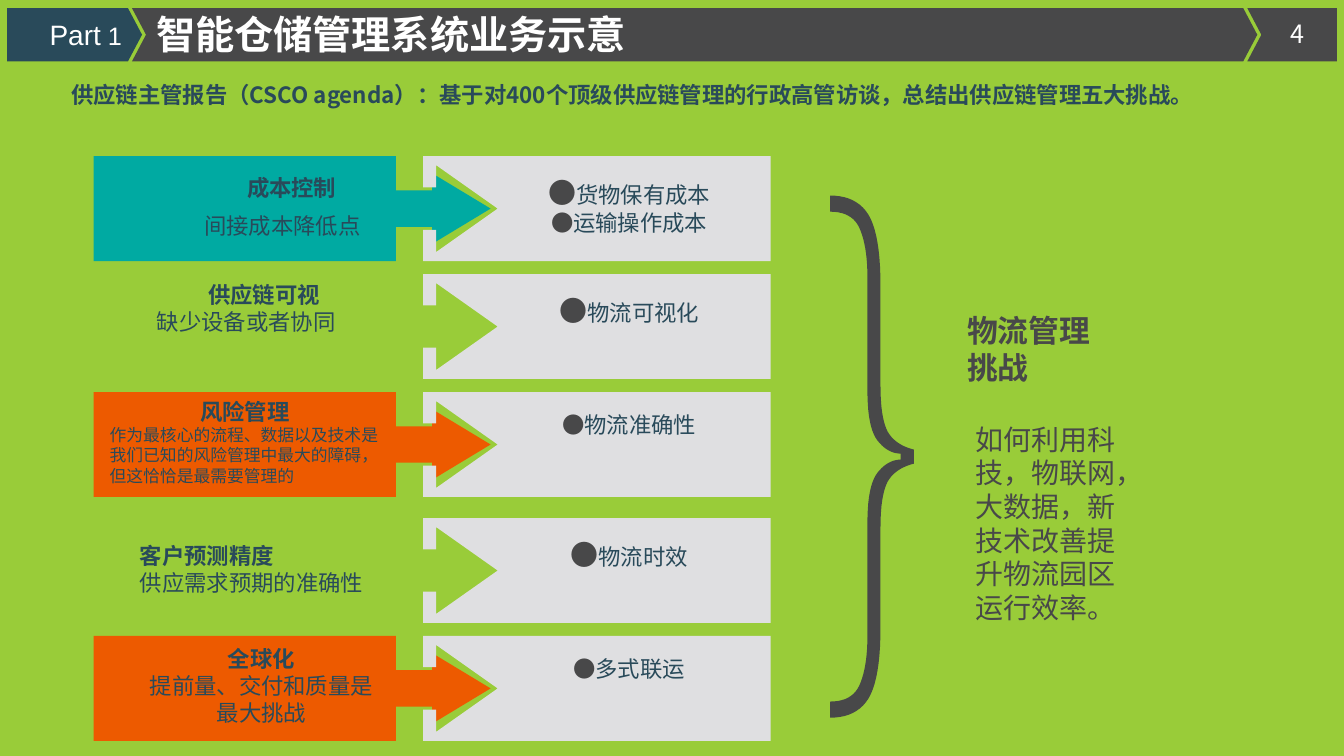
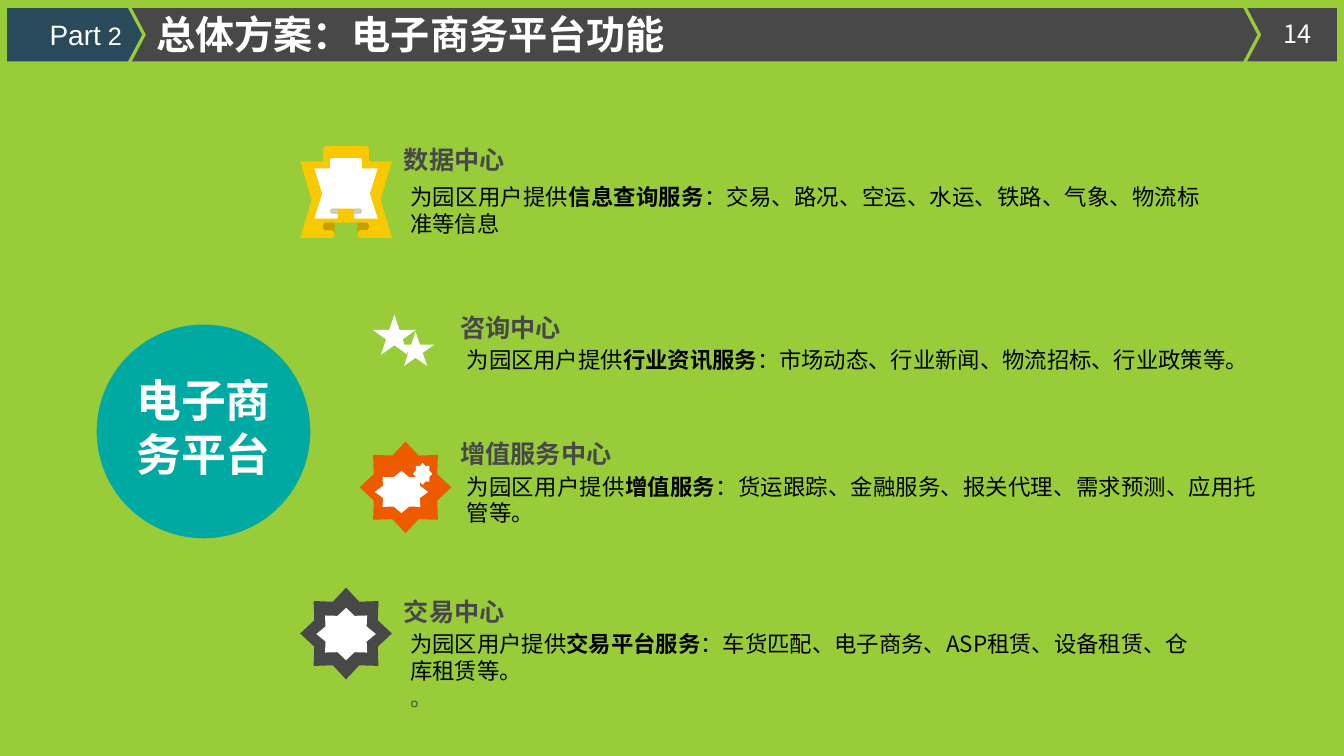
import dataclasses

import lxml.etree
import pptx
import pptx.dml.color
import pptx.enum.shapes
import pptx.enum.text
import pptx.oxml.ns
import pptx.util

RGB = pptx.dml.color.RGBColor
LIME = RGB(0x99, 0xCC, 0x39)
NAVY = RGB(0x29, 0x4A, 0x5A)
CHARCOAL = RGB(0x48, 0x48, 0x49)
TEAL = RGB(0x00, 0xAA, 0xA2)
ORANGE = RGB(0xED, 0x5A, 0x00)
YELLOW = RGB(0xF9, 0xC9, 0x00)
SILVER = RGB(0xDF, 0xDF, 0xE1)
WHITE = RGB(0xFF, 0xFF, 0xFF)
BLACK = RGB(0x00, 0x00, 0x00)

CJK = "Noto Sans CJK SC"
PRESET = pptx.enum.shapes.MSO_SHAPE
LEFT = pptx.enum.text.PP_ALIGN.LEFT
CENTER = pptx.enum.text.PP_ALIGN.CENTER
RIGHT = pptx.enum.text.PP_ALIGN.RIGHT
JUSTIFY = pptx.enum.text.PP_ALIGN.JUSTIFY

# All lengths are counted in square grid cells, ten to the inch.
COLUMNS, ROWS = 133.4, 75


def cells(count):
    return pptx.util.Inches(count / 10)


@dataclasses.dataclass
class Box:
    left: float
    top: float
    width: float
    height: float

    def area(self, dx, dy, width, height):
        return Box(self.left + dx, self.top + dy, width, height)

    def lengths(self):
        return [cells(n) for n in (self.left, self.top, self.width, self.height)]


@dataclasses.dataclass
class Run:
    text: str
    size: float = 16
    color: RGB = NAVY
    bold: bool = False
    font: str = CJK


SLIDE = Box(0, 0, COLUMNS, ROWS)


def write(frame, *paragraphs):
    """Fill a text frame with (alignment, run, run, ...) paragraphs."""
    frame.word_wrap = True
    frame.auto_size = pptx.enum.text.MSO_AUTO_SIZE.NONE
    frame.vertical_anchor = pptx.enum.text.MSO_ANCHOR.TOP
    for index, (alignment, *runs) in enumerate(paragraphs):
        paragraph = frame.add_paragraph() if index else frame.paragraphs[0]
        paragraph.alignment = alignment
        for item in runs:
            run = paragraph.add_run()
            run.text = item.text
            run.font.size = pptx.util.Pt(item.size)
            run.font.bold = item.bold
            run.font.color.rgb = item.color
            run.font.name = item.font
            east_asian = lxml.etree.SubElement(
                run.font._element, pptx.oxml.ns.qn("a:ea"))
            east_asian.set("typeface", item.font)


def add_text(slide, box, *paragraphs):
    write(slide.shapes.add_textbox(*box.lengths()).text_frame, *paragraphs)


def paint(shape, color):
    shape.shadow.inherit = False
    shape.fill.solid()
    shape.fill.fore_color.rgb = color
    shape.line.fill.background()
    return shape


def add_preset(slide, preset, box, color):
    return paint(slide.shapes.add_shape(preset, *box.lengths()), color)


def add_outline(slide, box, points, color):
    corners = [(cells(box.left + x), cells(box.top + y)) for x, y in points]
    builder = slide.shapes.build_freeform(*corners[0], scale=1.0)
    builder.add_line_segments(corners[1:], close=True)
    return paint(builder.convert_to_shape(), color)


def mirrored(upper, height):
    """Complete an upper half with its reflection in the middle line."""
    return upper + [(x, height - y) for x, y in reversed(upper) if y != height / 2]


def curve(start, *segments, steps=10):
    """Points along cubic segments (three points) and straight ones (one point)."""
    points = [start]
    for segment in segments:
        if len(segment) == 1:
            points.append(segment[0])
            continue
        knots = (points[-1], *segment)
        for step in range(1, steps + 1):
            t = step / steps
            weights = ((1 - t) ** 3, 3 * t * (1 - t) ** 2, 3 * t * t * (1 - t), t ** 3)
            points.append(tuple(sum(w * k[axis] for w, k in zip(weights, knots))
                                for axis in (0, 1)))
    return points


def add_header_bands(slide, layout, box):
    """Draw the three header bands and hand them to the layout."""
    h, tip = box.height, 1.4
    mid = h / 2
    section = [(0, 0), (12, 0), (12 + tip, mid), (12, h), (0, h)]
    heading = [(12.4, 0), (122.7, 0), (122.7 + tip, mid), (122.7, h),
               (12.4, h), (12.4 + tip, mid)]
    number = [(123.1, 0), (132, 0), (132, h), (123.1, h), (123.1 + tip, mid)]
    bands = ((section, NAVY), (heading, CHARCOAL), (number, CHARCOAL))
    for index, (points, color) in enumerate(bands):
        band = add_outline(slide, box, points, color)
        band.element.nvSpPr.cNvPr.set("id", str(20 + index))
        layout.shapes.element.append(band.element)


def fill_header(slide, title, chapter, page):
    write(slide.shapes.title.text_frame, (LEFT, Run(title, 28, WHITE, True)))
    add_text(slide, SLIDE.area(1.5, 1.2, 11.6, 4.4),
             (RIGHT, Run("Part", 20, WHITE, font="Arial"),
              Run(f" {chapter}", 18, WHITE, font="Arial")))
    add_text(slide, SLIDE.area(126.1, 1.3, 5.4, 4), (CENTER, Run(page, 18, WHITE)))


def bold(text):
    return Run(text, bold=True)


def bullet(text, size):
    return CENTER, Run("●", size, CHARCOAL), Run(text)


# Each challenge: arrow colour, labels (place in the row, paragraphs), bullets.
CHALLENGES = [
    (TEAL,
     [((10.1, 1.3, 19.1, 3.7), [(CENTER, bold("成本控制"))]),
      ((10, 5.1, 19.1, 3.7), [(LEFT, Run("间接成本降低点"))])],
     [bullet("货物保有成本", 20), bullet("运输操作成本", 16)]),
    (LIME,
     [((5.3, 0.2, 23.2, 6.4), [(CENTER, bold("供应链可视")),
                               (LEFT, Run("缺少设备或者协同"))])],
     [bullet("物流可视化", 20)]),
    (ORANGE,
     [((0.6, 0.1, 28.8, 9.7),
       [(CENTER, bold("风险管理")),
        (LEFT, Run("作为最核心的流程、数据以及技术是我们已知的风险管理中最大的障碍，"
                   "但这恰恰是最需要管理的", 12))])],
     [bullet("物流准确性", 16)]),
    (LIME,
     [((3.6, 1.9, 24.9, 6.4), [(LEFT, bold("客户预测精度")),
                               (LEFT, Run("供应需求预期的准确性"))])],
     [bullet("物流时效", 20)]),
    (ORANGE,
     [((3.9, 0.4, 25.5, 9.9), [(CENTER, bold("全球化")),
                               (CENTER, Run("提前量、交付和质量是最大挑战"))])],
     [bullet("多式联运", 16)]),
]
ROW_PITCH = 11.7
ROW_TOPS = [first + i * ROW_PITCH for first, count in ((15.5, 3), (51.4, 2))
            for i in range(count)]


def add_challenge(slide, box, color, labels, bullets):
    h = box.height
    arrow = [(0, 0), (30, 0), (30, 3.4), (33.6, 3.4), (33.6, 1.7), (39.4, h / 2)]
    panel = [(40.1, h / 2), (34, 0.9), (34, 3.1), (32.7, 3.1), (32.7, 0),
             (box.width, 0)]
    add_outline(slide, box, mirrored(arrow, h), color)
    add_outline(slide, box, mirrored(panel, h), SILVER)
    for place, paragraphs in labels:
        add_text(slide, box.area(*place), *paragraphs)
    add_text(slide, box.area(39.9, 1.4, 26.5, 7.5), *bullets)


def add_brace(slide, box):
    inner = curve((7, 25.6),
                  ((6.2, 25.6), (5.4, 25.2), (4.7, 24.3)),
                  ((4, 23.4), (3.7, 21.7), (3.7, 19.2)),
                  ((3.7, 8),),
                  ((3.7, 5.9), (3.4, 4.3), (2.9, 3.2)),
                  ((2.4, 2.1), (1.4, 1.6), (0, 1.6)))
    outer = curve((0, 0),
                  ((1.7, 0), (3, 0.6), (3.8, 1.9)),
                  ((4.6, 3.2), (5, 5.6), (5, 8.9)),
                  ((5, 18.8),),
                  ((5, 20.9), (5.2, 22.4), (5.7, 23.4)),
                  ((6.2, 24.3), (7.1, 24.9), (8.3, 25.2)))
    add_outline(slide, box, mirrored(inner + outer, box.height), CHARCOAL)


def build_challenges(slide):
    fill_header(slide, "智能仓储管理系统业务示意", 1, "4")
    add_text(slide, SLIDE.area(6.1, 7.6, 124.3, 6.4),
             (LEFT, bold("供应链主管报告（CSCO agenda）：基于对400个顶级供应链管理的"
                         "行政高管访谈，总结出供应链管理五大挑战。")))
    for top, challenge in zip(ROW_TOPS, CHALLENGES):
        add_challenge(slide, Box(9.3, top, 67.2, 10.4), *challenge)
    add_brace(slide, SLIDE.area(82.4, 19.4, 8.3, 51.8))
    add_text(slide, SLIDE.area(95, 30.4, 15.5, 8.4),
             (LEFT, Run("物流管理挑战", 22, CHARCOAL, True)))
    add_text(slide, SLIDE.area(95.8, 41.4, 16.7, 21.2),
             (LEFT, Run("如何利用科技，物联网，大数据，新技术改善提升物流园区运行效率。",
                        20, CHARCOAL)))


def service(lead, details, alignment=JUSTIFY):
    return (alignment, Run("为园区用户提供", color=BLACK),
            Run(lead, color=BLACK, bold=True), Run(details, color=BLACK))


# Each centre: corner, name, drop to its description, description,
# icon preset, icon offset, backdrop colour, white details (place in the icon).
CENTRES = [
    ((39.1, 13.8), "数据中心", 3.9,
     [service("信息查询服务", "：交易、路况、空运、水运、铁路、气象、物流标准等信息")],
     PRESET.UP_RIBBON, (-9.3, 0.7), YELLOW, [(1.4, 1.2, 6.3, 6)]),
    ((44.7, 30.5), "咨询中心", 3.3,
     [service("行业资讯服务", "：市场动态、行业新闻、物流招标、行业政策等。")],
     PRESET.STAR_5_POINT, (-9.2, -1.5), LIME,
     [(1.5, 2.2, 4.3, 4), (3.9, 3.9, 3.7, 3.4)]),
    ((44.7, 43), "增值服务中心", 3.4,
     [service("增值服务", "：货运跟踪、金融服务、报关代理、需求预测、应用托管等。")],
     PRESET.STAR_8_POINT, (-9, 0.8), ORANGE,
     [(1.5, 2.9, 5.3, 4.2), (5.3, 2.1, 1.9, 2.2)]),
    ((39.1, 58.7), "交易中心", 3.3,
     [service("交易平台服务", "：车货匹配、电子商务、ASP租赁、设备租赁、仓库租赁等。", LEFT),
      (LEFT, Run("。", color=CHARCOAL))],
     PRESET.STAR_8_POINT, (-9.3, -0.4), CHARCOAL, [(1.6, 2, 5.9, 5.2)]),
]


def add_centre(slide, box, name, drop, description, preset, offset, color, details):
    icon = box.area(*offset, 9.1, 9.1)
    add_preset(slide, preset, icon, color)
    for place in details:
        add_preset(slide, preset, icon.area(*place), WHITE)
    add_text(slide, box.area(0, 0, 21.8, 4), (LEFT, Run(name, 18, CHARCOAL, True)))
    add_text(slide, box.area(0.65, drop, 80.4, box.height - drop), *description)


def add_platform(slide, box):
    add_preset(slide, PRESET.OVAL, box, TEAL)
    add_text(slide, box.area(2.2, 4.3, 16.8, 11.8),
             (CENTER, Run("电子商务平台", 32, WHITE, True)))


def build_platform(slide):
    fill_header(slide, "总体方案：电子商务平台功能", 2, "14")
    add_platform(slide, SLIDE.area(9.6, 32.2, 21.2, 21.2))
    for corner, *centre in CENTRES:
        add_centre(slide, Box(*corner, 81, 12.4), *centre)


def main():
    deck = pptx.Presentation()
    deck.slide_width, deck.slide_height = cells(COLUMNS), cells(ROWS)
    background = deck.slide_master.background.fill
    background.solid()
    background.fore_color.rgb = LIME
    layout = deck.slide_layouts.get_by_name("Title Only")
    heading = layout.placeholders[0]
    heading.left, heading.top, heading.width, heading.height = (
        SLIDE.area(14.5, 0.5, 55.1, 5.7).lengths())
    challenges, platform = (deck.slides.add_slide(layout) for _ in range(2))
    add_header_bands(challenges, layout, SLIDE.area(0.7, 0.8, 132, 5.3))
    build_challenges(challenges)
    build_platform(platform)
    deck.save("out.pptx")


if __name__ == "__main__":
    main()
